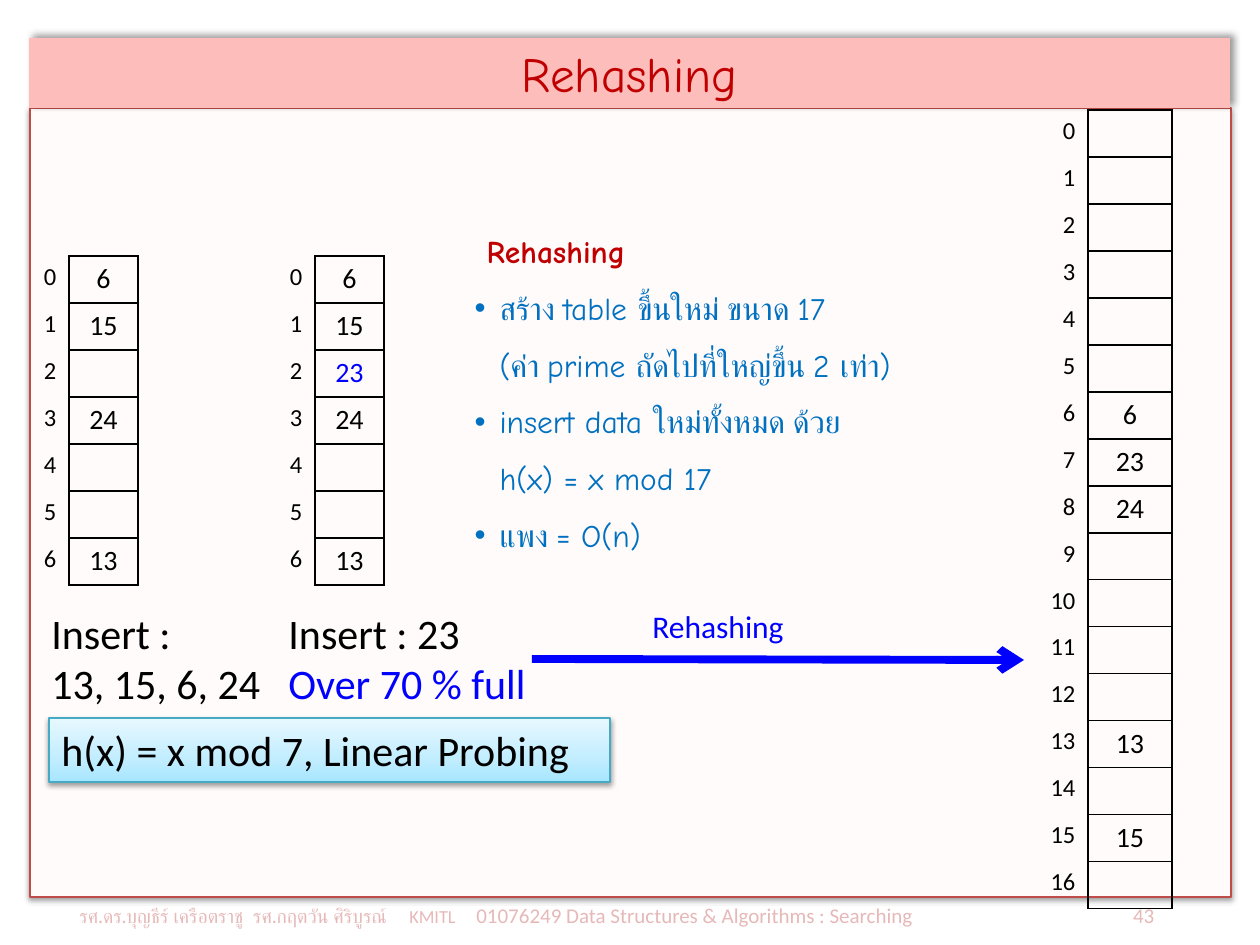
from lxml.etree import SubElement
from pptx import Presentation
from pptx.dml.color import RGBColor
from pptx.enum.shapes import MSO_CONNECTOR, MSO_SHAPE
from pptx.enum.text import MSO_ANCHOR, MSO_AUTO_SIZE, PP_ALIGN
from pptx.oxml import parse_xml
from pptx.oxml.ns import nsdecls, qn
from pptx.util import Emu, Pt

# Content
TITLE = "Rehashing"
HEADING = "Rehashing"
STEPS = [
    "สร้าง table ขึ้นใหม่ ขนาด 17\v(ค่า prime ถัดไปที่ใหญ่ขึ้น 2 เท่า)",
    "insert data ใหม่ทั้งหมด ด้วย\vh(x) = x mod 17",
    "แพง = O(n)",
]
# left, top, column width, slots, filled slots, highlighted slot
HASH_TABLES = [
    (1004, 110, 84, 17, {6: 6, 7: 23, 8: 24, 13: 13, 15: 15}, None),
    (0, 256, 69, 7, {0: 6, 1: 15, 3: 24, 6: 13}, None),
    (246, 256, 69, 7, {0: 6, 1: 15, 2: 23, 3: 24, 6: 13}, 2),
]
# box, then (text, size, colour) per line
LABELS = [
    ((39, 601, 256, 115), [("Insert :", "large", "text"), ("13, 15, 6, 24", "large", "text")]),
    ((276, 601, 286, 115), [("Insert : 23", "large", "text"), ("Over 70 % full", "large", "accent")]),
    ((640, 601, 266, 72), [("Rehashing", "body", "accent")]),
]
HASH_RULE = "h(x) = x mod 7, Linear Probing"
FOOTER = [
    ("รศ.ดร.บุญธีร์ เครือตราชู  รศ.กฤตวัน ศิริบูรณ์", 11, "Lato"),
    ("\tKMITL", 10.5, "Calibri"),
    ("\t01076249 Data Structures & Algorithms : Searching", 12, "Calibri"),
    ("\t43", 12, "Calibri"),
]
FOOTER_TABS = [(330, "l"), (397, "l"), (1075, "r")]

THEME = {
    "color": {"text": "000000", "accent": "0000FF", "title": "C00000", "list": "0070C0",
              "footer": "E6B9B8", "panel": "FFFBFB", "banner": "FDBDBB",
              "frame": "BF4C48", "rule_frame": "46AAC5"},
    "size": {"title": 28, "large": 24, "body": 18, "value": 16, "index": 14},
    "rule_gradient": [(0, "A7E6FF"), (35, "C1EDFF"), (100, "E7F8FF")],
    "font": "Calibri",
    "display_font": "Comic Neue",
}
PX = 914400 / 126
ROW_HEIGHT = 47
BULLET_INDENT = 25


def px(length):
    return Emu(round(length * PX))


def place(shape, box):
    shape.left, shape.top, shape.width, shape.height = map(px, box)


def color(name):
    return RGBColor.from_string(THEME["color"][name])


def style(paragraph, size, color_name, font=THEME["font"], bold=False):
    for run in paragraph.runs:
        run.font.size = Pt(THEME["size"].get(size, size))
        run.font.name = font
        run.font.bold = bold
        run.font.color.rgb = color(color_name)


def outline(shape, color_name, width=0.75):
    shape.line.color.rgb = color(color_name)
    shape.line.width = Pt(width)


def add_shadow(shape, alpha, blur, distance, angle):
    shape._element.spPr.append(parse_xml(
        f'<a:effectLst {nsdecls("a")}><a:outerShdw blurRad="{Pt(blur)}" dist="{Pt(distance)}" '
        f'dir="{angle * 60000}" rotWithShape="0"><a:srgbClr val="000000">'
        f'<a:alpha val="{alpha * 1000}"/></a:srgbClr></a:outerShdw></a:effectLst>'))


def set_borders(cell, sides):
    properties = cell._tc.get_or_add_tcPr()
    for side in "LRTB":
        border = SubElement(properties, qn(f"a:ln{side}"), w=str(Pt(1)))
        if side in sides:
            fill = SubElement(border, qn("a:solidFill"))
            SubElement(fill, qn("a:srgbClr"), val=THEME["color"]["text"])
        else:
            SubElement(border, qn("a:noFill"))


def fill_cell(cell, text, size, color_name, align, sides):
    set_borders(cell, sides)
    cell.fill.background()
    cell.margin_top, cell.margin_bottom = px(6), 0
    paragraph = cell.text_frame.paragraphs[0]
    paragraph.text = str(text)
    paragraph.alignment = align
    style(paragraph, size, color_name)


def add_hash_table(slide, left, top, column, slots, values, highlight):
    table = slide.shapes.add_table(slots, 2, px(left), px(top), px(2 * column),
                                   px(slots * ROW_HEIGHT)).table
    table.first_row = table.horz_banding = False
    for slot in range(slots):
        table.rows[slot].height = px(ROW_HEIGHT)
        fill_cell(table.cell(slot, 0), slot, "index", "text", PP_ALIGN.RIGHT, "R")
        fill_cell(table.cell(slot, 1), values.get(slot, ""), "value",
                  "accent" if slot == highlight else "text", PP_ALIGN.CENTER, "LRTB")


def add_label(slide, box, lines):
    frame = slide.shapes.add_textbox(*map(px, box)).text_frame
    frame.word_wrap = True
    frame.text = "\n".join(text for text, _, _ in lines)
    for paragraph, (_, size, color_name) in zip(frame.paragraphs, lines):
        style(paragraph, size, color_name)


def add_footer(slide):
    frame = slide.shapes.add_textbox(*map(px, (67, 896, 1131, 47))).text_frame
    frame.word_wrap = True
    paragraph = frame.paragraphs[0]
    tabs = SubElement(paragraph._p.get_or_add_pPr(), qn("a:tabLst"))
    for position, align in FOOTER_TABS:
        SubElement(tabs, qn("a:tab"), pos=str(px(position)), algn=align)
    for text, size, font in FOOTER:
        run = paragraph.add_run()
        run.text = text
        run.font.size, run.font.name = Pt(size), font
        run.font.color.rgb = color("footer")


def write_steps(body):
    place(body, (462, 207, 552, 356))
    frame = body.text_frame
    frame.auto_size = MSO_AUTO_SIZE.NONE
    frame.text = "\n".join([HEADING, *STEPS])
    for number, paragraph in enumerate(frame.paragraphs):
        paragraph.line_spacing = 1.5
        paragraph.space_before = Pt(0)
        properties = paragraph._p.get_or_add_pPr()
        if number == 0:
            properties.set("marL", str(px(12)))
            properties.set("indent", "0")
            SubElement(properties, qn("a:buNone"))
            style(paragraph, "body", "title", THEME["display_font"], True)
        else:
            properties.set("marL", str(px(BULLET_INDENT)))
            properties.set("indent", str(-px(BULLET_INDENT)))
            SubElement(properties, qn("a:buChar"), char="•")
            style(paragraph, "body", "list", THEME["display_font"])


def main():
    deck = Presentation()
    deck.slide_width, deck.slide_height = px(1260), px(945)
    slide = deck.slides.add_slide(deck.slide_layouts[1])
    title, body = slide.placeholders

    # Panel behind everything
    panel = slide.shapes.add_shape(MSO_SHAPE.RECTANGLE, *map(px, (30, 108, 1201, 789)))
    panel.fill.solid()
    panel.fill.fore_color.rgb = color("panel")
    outline(panel, "frame")
    add_shadow(panel, 38, 3.1, 1.6, 90)
    slide.shapes._spTree.insert(2, panel._element)
    add_footer(slide)

    # Title banner
    place(title, (29, 38, 1201, 70))
    title.fill.solid()
    title.fill.fore_color.rgb = color("banner")
    title.line.fill.background()
    add_shadow(title, 40, 4, 3, 315)
    title.text_frame.text = TITLE
    title.text_frame.vertical_anchor = MSO_ANCHOR.MIDDLE
    title.text_frame.paragraphs[0].alignment = PP_ALIGN.CENTER
    style(title.text_frame.paragraphs[0], "title", "title", THEME["display_font"])

    # Hash tables and explanation
    for hash_table in HASH_TABLES:
        add_hash_table(slide, *hash_table)
    write_steps(body)

    # Hash function box
    rule = slide.shapes.add_shape(MSO_SHAPE.RECTANGLE, *map(px, (49, 718, 561, 64)))
    stops = "".join(f'<a:gs pos="{pos * 1000}"><a:srgbClr val="{shade}"/></a:gs>'
                    for pos, shade in THEME["rule_gradient"])
    rule._element.spPr.append(parse_xml(
        f'<a:gradFill {nsdecls("a")}><a:gsLst>{stops}</a:gsLst>'
        '<a:lin ang="16200000" scaled="1"/></a:gradFill>'))
    outline(rule, "rule_frame")
    add_shadow(rule, 38, 3.1, 1.6, 90)
    rule.text_frame.text = HASH_RULE
    rule.text_frame.paragraphs[0].alignment = PP_ALIGN.LEFT
    style(rule.text_frame.paragraphs[0], "large", "text")

    # Captions and arrow to the larger table
    for box, lines in LABELS:
        add_label(slide, box, lines)
    arrow = slide.shapes.add_connector(MSO_CONNECTOR.STRAIGHT, *map(px, (532, 659, 1024, 660)))
    outline(arrow, "accent", 4.5)
    SubElement(arrow.line._get_or_add_ln(), qn("a:tailEnd"), type="arrow")
    SubElement(arrow._element.spPr, qn("a:effectLst"))

    deck.save("out.pptx")


if __name__ == "__main__":
    main()
